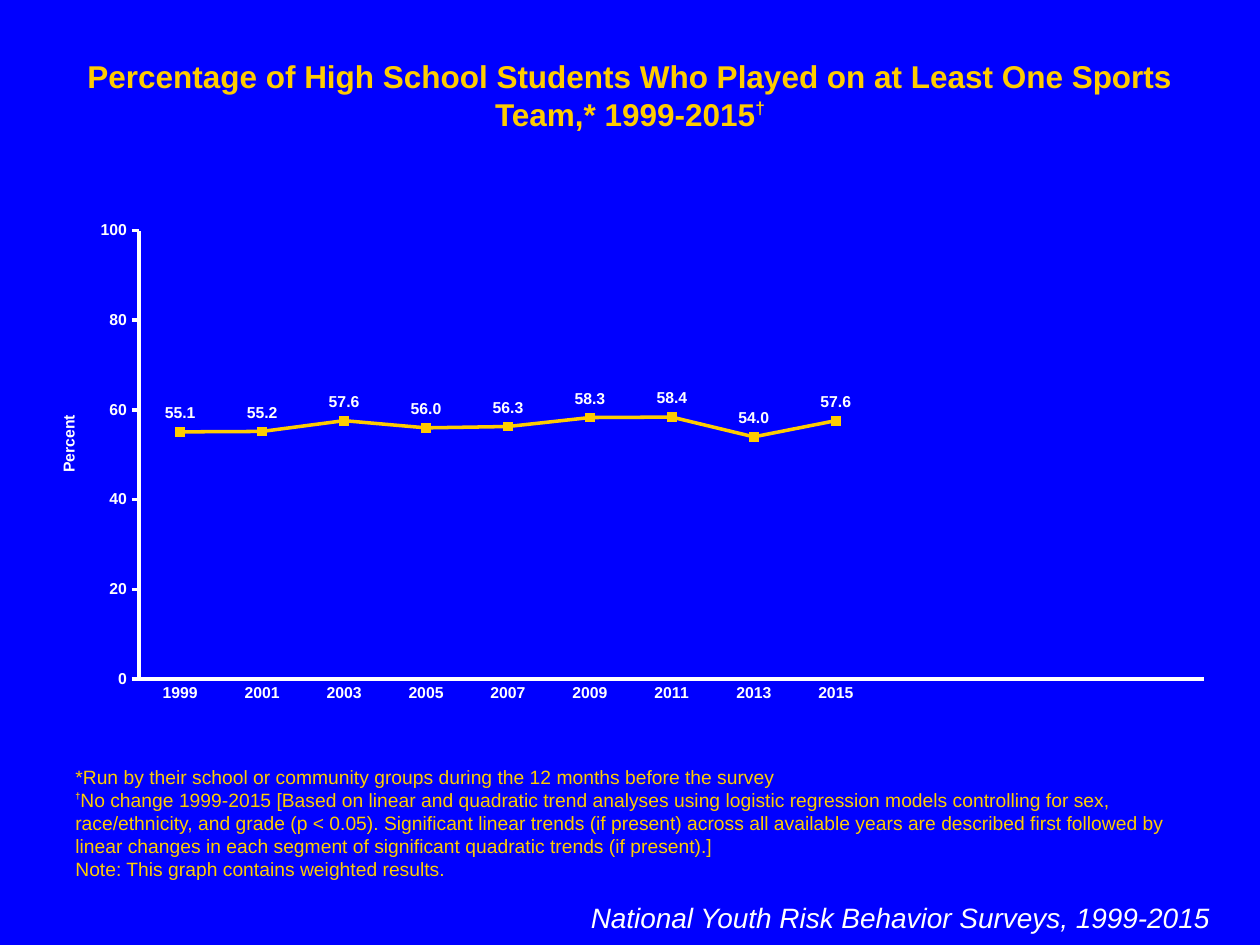
"""Build a slide charting high school sports team participation, 1999-2015."""
from lxml import etree
from pptx import Presentation
from pptx import util as u
from pptx.chart import data as chart_data
from pptx.dml import color
from pptx.enum import chart as ch, text
from pptx.oxml import ns

BLUE, GOLD, WHITE = "0000FF", "FFCC00", "FFFFFF"
FONT = "Arial"

HEADING = [[
    ("Percentage of High School Students Who Played on at Least One Sports Team,* 1999-2015",
     dict(size=18, bold=True)),
    ("†", dict(size=17, bold=True, raised=40)),
]]
FOOTNOTES = [
    [("*Run by their school or community groups during the 12 months before the survey",
      dict(size=11))],
    [("†", dict(size=9, bold=True, raised=50)),
     ("No change 1999-2015 [Based on linear and quadratic trend analyses using logistic "
      "regression models controlling for sex, race/ethnicity, and grade (p < 0.05). "
      "Significant linear trends (if present) across all available years are described first "
      "followed by linear changes in each segment of significant quadratic trends (if present).]",
      dict(size=11))],
    [("Note: This graph contains weighted results.", dict(size=11))],
]
SURVEY = [[("National Youth Risk Behavior Surveys, 1999-2015",
            dict(size=16, italic=True, ink=WHITE))]]
PERCENTS = [55.1, 55.2, 57.6, 56.0, 56.3, 58.3, 58.4, 54.0, 57.6]
YEARS = [str(1999 + 2 * step) for step in range(len(PERCENTS))]
EMPTY_SLOTS = 4


def rgb(value):
    return color.RGBColor.from_string(value)


def style(font, size, bold=False, italic=False, ink=GOLD):
    font.name, font.size = FONT, u.Pt(size)
    font.bold, font.italic = bold, italic
    font.color.rgb = rgb(ink)


def write(box, area, paragraphs, align, anchor=text.MSO_ANCHOR.TOP):
    box.left, box.top, box.width, box.height = map(u.Inches, area)
    frame = box.text_frame
    frame.word_wrap = True
    frame.auto_size = text.MSO_AUTO_SIZE.NONE
    frame.vertical_anchor = anchor
    for index, runs in enumerate(paragraphs):
        paragraph = frame.add_paragraph() if index else frame.paragraphs[0]
        paragraph.alignment = align
        for words, look in runs:
            run = paragraph.add_run()
            run.text = words
            style(run.font, **{key: look[key] for key in look if key != "raised"})
            if "raised" in look:
                run.font._element.set("baseline", str(look["raised"] * 1000))


def place(parent, **settings):
    """Give a chart part a manual layout in fractions of the chart."""
    for old in parent.findall(ns.qn("c:layout")):
        parent.remove(old)
    layout = etree.Element(ns.qn("c:layout"))
    manual = etree.SubElement(layout, ns.qn("c:manualLayout"))
    for tag, value in settings.items():
        etree.SubElement(manual, ns.qn("c:" + tag)).set("val", str(value))
    return layout


def format_axis(axis, tick):
    axis.has_major_gridlines = False
    axis.major_tick_mark, axis.minor_tick_mark = tick, ch.XL_TICK_MARK.NONE
    axis.format.line.color.rgb = rgb(WHITE)
    axis.format.line.width = u.Pt(2)
    style(axis.tick_labels.font, 9, bold=True, ink=WHITE)


def add_trend(slide):
    trend = chart_data.CategoryChartData(number_format="0.0")
    trend.categories = YEARS + [""] * EMPTY_SLOTS
    trend.add_series("Series 1", PERCENTS + [None] * EMPTY_SLOTS)
    area = map(u.Inches, (0.25, 1.67, 9.5, 4))
    chart = slide.shapes.add_chart(ch.XL_CHART_TYPE.LINE_MARKERS, *area, trend).chart
    chart.has_legend = chart.has_title = False
    style(chart.font, 18, ink=WHITE)

    format_axis(chart.category_axis, ch.XL_TICK_MARK.NONE)
    percent_axis = chart.value_axis
    format_axis(percent_axis, ch.XL_TICK_MARK.OUTSIDE)
    percent_axis.minimum_scale, percent_axis.maximum_scale = 0, 100
    percent_axis.major_unit = 20
    percent_axis.tick_labels.number_format = "#,##0"
    percent_axis.tick_labels.number_format_is_linked = False
    caption = percent_axis.axis_title
    run = caption.text_frame.paragraphs[0].add_run()
    run.text = "Percent"
    style(run.font, 9, bold=True, ink=WHITE)
    caption_xml = caption._element
    spot = place(caption_xml, xMode="edge", yMode="edge", x=0.02, y=0.4)
    caption_xml.find(ns.qn("c:tx")).addnext(spot)
    plot_xml = chart._chartSpace.chart.plotArea
    plot_xml.insert(0, place(plot_xml, layoutTarget="inner", xMode="edge", yMode="edge",
                             x=0.09, y=0.04, w=0.89, h=0.89))

    plot = chart.plots[0]
    plot.vary_by_categories = False
    line = plot.series[0]
    line.smooth = False
    line.format.line.color.rgb = rgb(GOLD)
    line.format.line.width = u.Pt(2)
    marker = line.marker
    marker.style, marker.size = ch.XL_MARKER_STYLE.SQUARE, 5
    marker.format.fill.solid()
    marker.format.fill.fore_color.rgb = rgb(GOLD)
    marker.format.line.color.rgb = rgb(GOLD)
    labels = line.data_labels
    labels.show_value = True
    labels.position = ch.XL_LABEL_POSITION.ABOVE
    labels.number_format, labels.number_format_is_linked = "#,##0.0", False
    style(labels.font, 9, bold=True, ink=WHITE)


def main():
    deck = Presentation()
    deck.slide_width, deck.slide_height = u.Inches(10), u.Inches(7.5)
    slide = deck.slides.add_slide(deck.slide_layouts[5])
    slide.background.fill.solid()
    slide.background.fill.fore_color.rgb = rgb(BLUE)
    write(slide.shapes.title, (0.5, 0.4, 9, 0.7), HEADING, text.PP_ALIGN.CENTER)
    notes_box, survey_box = (slide.shapes.add_textbox(0, 0, 0, 0) for _ in range(2))
    write(notes_box, (0.5, 6.03, 9, 1.01), FOOTNOTES, text.PP_ALIGN.LEFT,
          text.MSO_ANCHOR.BOTTOM)
    write(survey_box, (4.53, 7.1, 5.17, 0.37), SURVEY, text.PP_ALIGN.RIGHT)
    add_trend(slide)
    deck.save("out.pptx")


if __name__ == "__main__":
    main()
